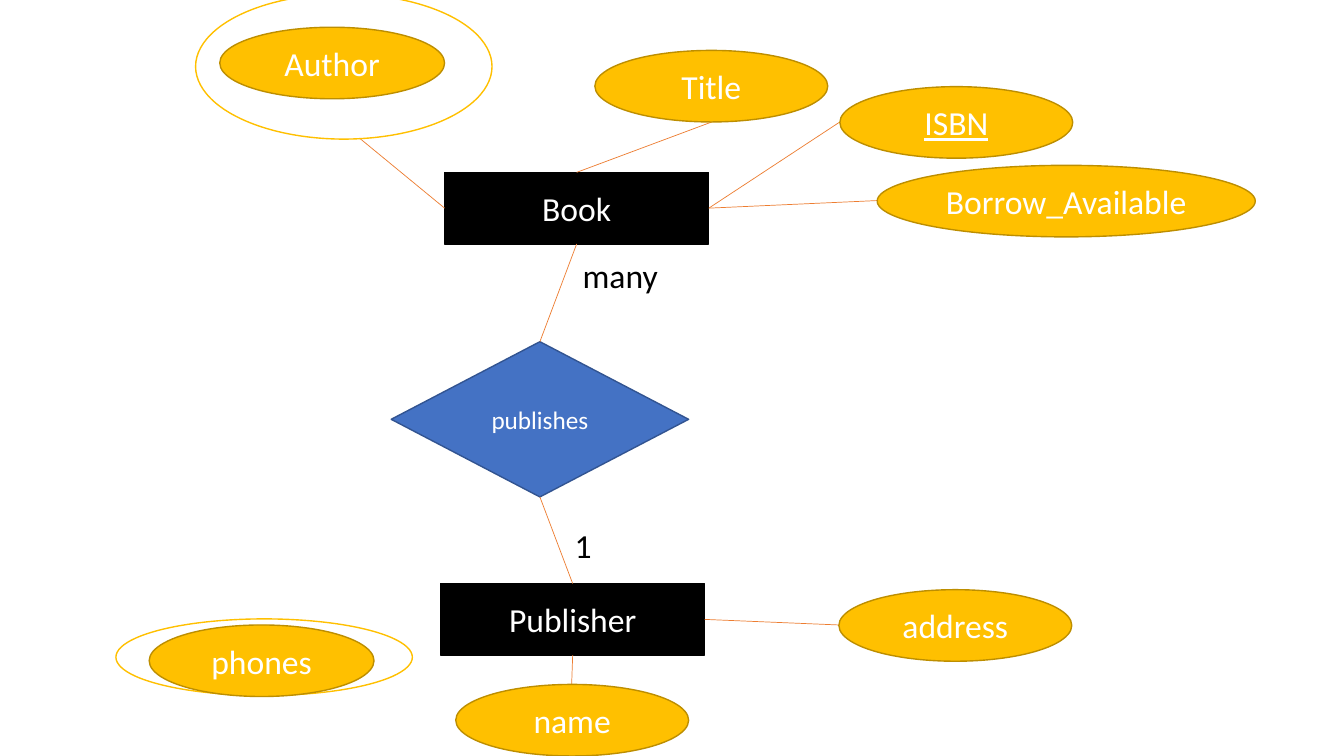
import pptx
import pptx.util
import pptx.dml.color
import pptx.enum.shapes
import pptx.enum.text
import pptx.oxml.ns
from lxml import etree

Inches = pptx.util.Inches
Pt = pptx.util.Pt
RGBColor = pptx.dml.color.RGBColor
MSO_SHAPE = pptx.enum.shapes.MSO_SHAPE

BLACK = RGBColor(0x00, 0x00, 0x00)
WHITE = RGBColor(0xFF, 0xFF, 0xFF)
GOLD = RGBColor(0xFF, 0xC0, 0x00)
DARK_GOLD = RGBColor(0xBD, 0x8E, 0x00)
BLUE = RGBColor(0x44, 0x72, 0xC4)
DARK_BLUE = RGBColor(0x32, 0x54, 0x91)
ORANGE = RGBColor(0xED, 0x7D, 0x31)

TOP, LEFT, BOTTOM, RIGHT = range(4)
HEIGHT = 0.71


class Diagram:
    font = {"name": "Calibri", "size": Pt(24)}

    def __init__(self, s):
        self.s = s

    def add_text(self, tf, text, color, **format_values):
        p = tf.paragraphs[0]
        r = p.add_run()
        r.text = text
        r.font.color.rgb = color
        for name, value in {**self.font, **format_values}.items():
            setattr(r.font, name, value)
        return p

    def shape(self, kind, box, fill, line, text="", **format_values):
        sp = self.s.shapes.add_shape(kind, *map(Inches, box))
        sp.shadow.inherit = False
        sp.fill.solid()
        sp.fill.fore_color.rgb = fill
        sp.line.color.rgb = line
        sp.line.width = Pt(1)
        if text:
            sp.text_frame.vertical_anchor = pptx.enum.text.MSO_ANCHOR.MIDDLE
            p = self.add_text(sp.text_frame, text, WHITE, **format_values)
            p.alignment = pptx.enum.text.PP_ALIGN.CENTER
        return sp

    def entity(self, x, y, text):
        return self.shape(MSO_SHAPE.RECTANGLE, (x, y, 2.62, HEIGHT), BLACK, BLACK, text)

    def relationship(self, x, y, text):
        return self.shape(MSO_SHAPE.DIAMOND, (x, y, 2.95, 1.54), BLUE, DARK_BLUE,
                          text, size=Pt(18))

    def attribute(self, x, y, text, width=2.31, **format_values):
        return self.shape(MSO_SHAPE.OVAL, (x, y, width, HEIGHT), GOLD, DARK_GOLD,
                          text, **format_values)

    def ring(self, x, y, height):
        return self.shape(MSO_SHAPE.OVAL, (x, y, 2.94, height), WHITE, GOLD)

    def label(self, x, y, text):
        sp = self.s.shapes.add_textbox(*map(Inches, (x, y, 0.99, 0.5)))
        tf = sp.text_frame
        tf.word_wrap = True
        tf.auto_size = pptx.enum.text.MSO_AUTO_SIZE.SHAPE_TO_FIT_TEXT
        self.add_text(tf, text, BLACK)

    def link(self, sp, site, x=0, y=0, target=None):
        end = Inches(x), Inches(y)
        cxn = self.s.shapes.add_connector(
            pptx.enum.shapes.MSO_CONNECTOR.STRAIGHT, *end, *end)
        cxn.begin_connect(sp, site)
        if target:
            cxn.end_connect(*target)
        cxn.line.color.rgb = ORANGE
        cxn.line.width = Pt(0.5)
        etree.SubElement(cxn._element.spPr, pptx.oxml.ns.qn("a:effectLst"))


def main():
    prs = pptx.Presentation()
    prs.slide_width = Inches(13.33)
    prs.slide_height = Inches(7.5)
    d = Diagram(prs.slides.add_slide(prs.slide_layouts[6]))

    book = d.entity(4.41, 1.71, "Book")
    publisher = d.entity(4.37, 5.79, "Publisher")
    publishes = d.relationship(3.88, 3.39, "publishes")

    for sp, site, x, y in [
        (book, RIGHT, 8.33, 1.21),
        (book, TOP, 7.06, 1.21),
        (book, LEFT, 3.48, 1.3),
        (book, RIGHT, 8.7, 1.99),
        (publisher, RIGHT, 8.32, 6.2),
        (publisher, BOTTOM, 5.67, 6.79),
    ]:
        d.link(sp, site, x, y)
    d.link(book, BOTTOM, target=(publishes, TOP))
    d.link(publishes, BOTTOM, target=(publisher, TOP))

    d.attribute(8.33, 0.86, "ISBN", underline=True)
    d.attribute(5.9, 0.5, "Title")
    d.attribute(8.7, 1.64, "Borrow_Available", 3.75)
    d.ring(1.94, -0.06, 1.44)
    d.attribute(2.18, 0.27, "Author", 2.23)
    d.attribute(4.52, 6.79, "name")
    d.attribute(8.32, 5.85, "address")
    d.ring(1.15, 6.14, 0.76)
    d.attribute(1.48, 6.2, "phones", 2.23)

    d.label(5.68, 2.48, "many")
    d.label(5.6, 5.16, "1")

    prs.save("out.pptx")


if __name__ == "__main__":
    main()
